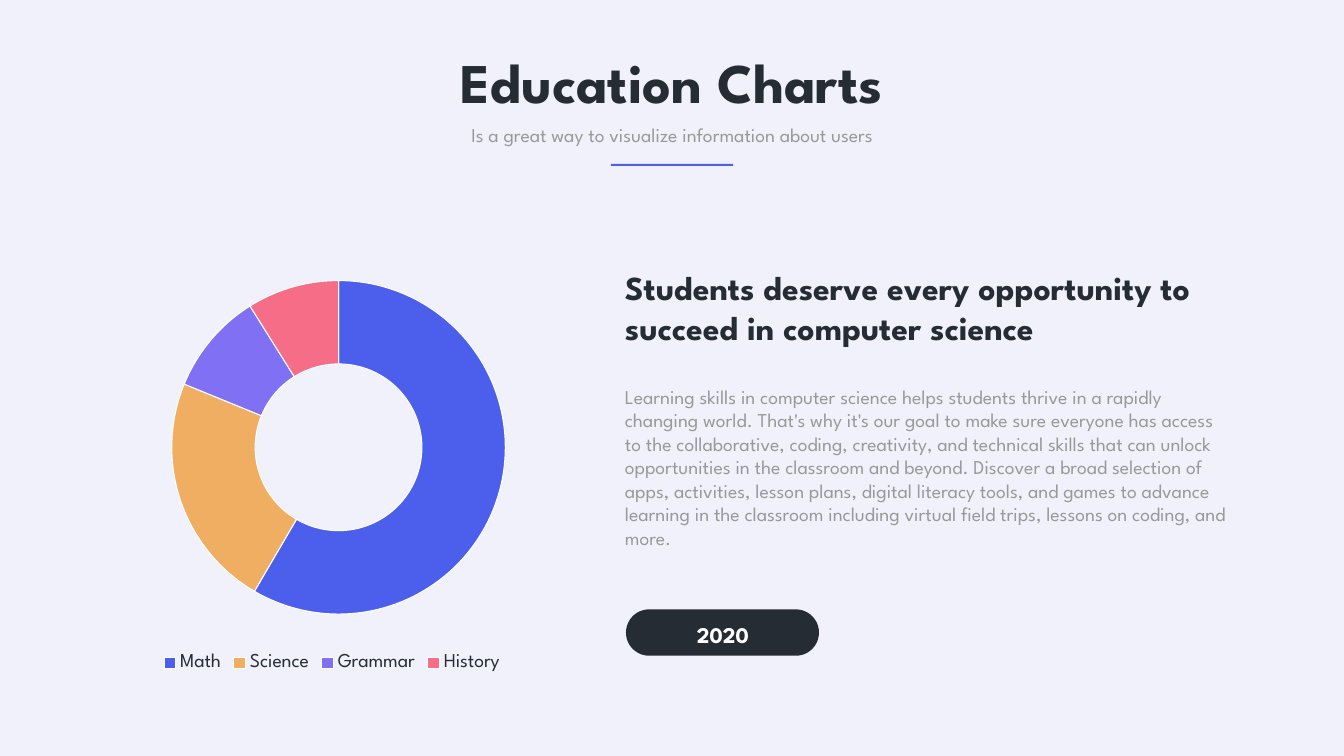
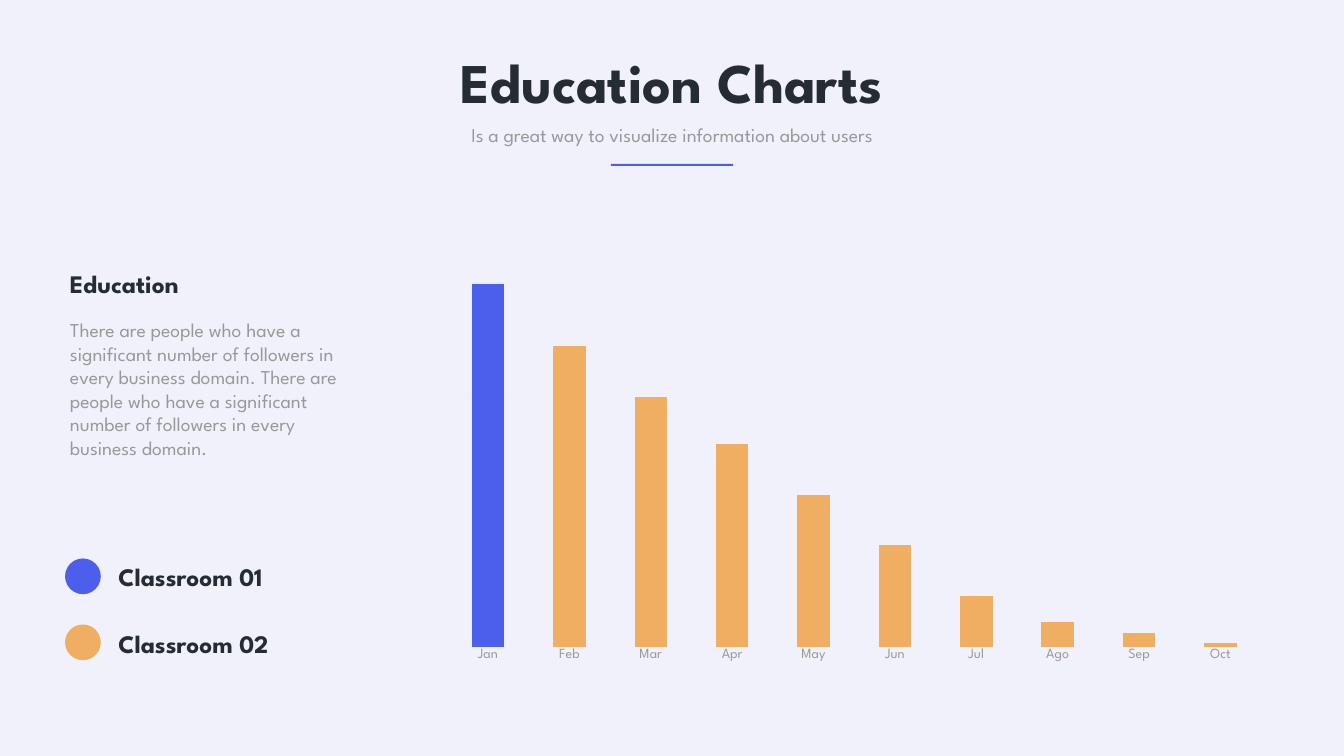
from pptx import Presentation
from pptx.chart.data import CategoryChartData
from pptx.dml.color import RGBColor
from pptx.enum.chart import XL_CHART_TYPE, XL_LEGEND_POSITION, XL_TICK_MARK
from pptx.enum.shapes import MSO_SHAPE
from pptx.enum.text import MSO_ANCHOR, MSO_AUTO_SIZE, PP_ALIGN
from pptx.oxml import parse_xml
from pptx.oxml.ns import nsdecls, qn
from pptx.util import Inches, Pt

# Shared style: a grid of 160 columns by 90 rows, six cells to the inch
COLS, ROWS, CELL = 160, 90, Inches(1) / 6
FONT = "League Spartan"
PAPER, INK, GRAY, PALE, WHITE = "F0F1FA", "252C34", "999999", "F0F0F0", "FFFFFF"
BLUE, SAND, VIOLET, ROSE = "4C5FEC", "F0AE62", "7F70F4", "F56D87"
BODY, LABEL, SUBHEAD, HEAD, TITLE = 28, 36, 48, 80, "Education Charts"


def paint(target, color):
    """Give a fill a solid colour."""
    target.solid()
    target.fore_color.rgb = RGBColor.from_string(color)


def style(font, size, color, bold=False):
    font.name, font.size, font.bold = FONT, Pt(size), bold
    paint(font.fill, color)


def grid(*cells):
    return [round(n * CELL) for n in cells]


def middle(width):
    """Left column of an element centred on the slide."""
    return (COLS - width) / 2


class Deck:
    def __init__(self):
        self.show = Presentation()
        self.show.slide_width, self.show.slide_height = grid(COLS, ROWS)
        paint(self.show.slide_master.background.fill, PAPER)
        self.slide = None

    def label(self, frame, words, size, color, bold, align):
        frame.word_wrap = True
        frame.auto_size = MSO_AUTO_SIZE.SHAPE_TO_FIT_TEXT
        frame.vertical_anchor = MSO_ANCHOR.TOP
        para = frame.paragraphs[0]
        para.alignment = align
        run = para.add_run()
        run.text = words
        style(run.font, size, color, bold)

    def text(self, place, words, size, color=INK, bold=False, align=PP_ALIGN.LEFT):
        box = self.slide.shapes.add_textbox(*grid(*place))
        self.label(box.text_frame, words, size, color, bold, align)

    def shape(self, kind, place, color):
        item = self.slide.shapes.add_shape(kind, *grid(*place))
        item.shadow.inherit = False
        paint(item.fill, color)
        item.line.fill.background()
        return item

    def page(self, title, tagline):
        """Start a slide with its title, tagline and rule."""
        self.slide = self.show.slides.add_slide(self.show.slide_layouts[5])
        head = self.slide.shapes.title
        head.left, head.top, head.width, head.height = grid(middle(77.46), 5.4, 77.46, 8.7)
        self.label(head.text_frame, title, HEAD, INK, True, PP_ALIGN.CENTER)
        self.text((middle(57.36), 14.28, 57.36, 3.42), tagline, BODY, GRAY,
                  align=PP_ALIGN.CENTER)
        self.shape(MSO_SHAPE.RECTANGLE, (middle(14.58), 19.5, 14.58, 0.24), BLUE)

    def chart(self, kind, place, names, values, plot):
        """Add a one-series chart; plot is the inner area as shares of the frame."""
        data = CategoryChartData()
        data.categories = names
        data.add_series("Series 1", values)
        chart = self.slide.shapes.add_chart(kind, *grid(*place), data).chart
        chart.has_title = chart.has_legend = False
        style(chart.font, 20, GRAY)
        area = chart._chartSpace.chart.plotArea
        for old in area.findall(qn("c:layout")):
            area.remove(old)
        sizes = "".join(f'<c:{key} val="{share}"/>' for key, share in zip("xywh", plot))
        area.insert(0, parse_xml(
            f'<c:layout {nsdecls("c")}><c:manualLayout><c:layoutTarget val="inner"/>'
            f'<c:xMode val="edge"/><c:yMode val="edge"/>{sizes}</c:manualLayout></c:layout>'))
        return chart

    def ring(self, place, names, values, colors):
        chart = self.chart(XL_CHART_TYPE.DOUGHNUT, place, names, values,
                           (0.14, 0.04, 0.75, 0.81))
        plot = chart.plots[0]
        plot._element.find(qn("c:holeSize")).set("val", "59")
        for spot, color in enumerate(colors):
            look = plot.series[0].points[spot].format
            paint(look.fill, color)
            paint(look.line.fill, WHITE)
            look.line.width = Pt(1.5)
        chart.has_legend = True
        chart.legend.position = XL_LEGEND_POSITION.BOTTOM
        chart.legend.include_in_layout = False
        style(chart.legend.font, BODY, INK)

    def bars(self, place, names, values, color, first):
        chart = self.chart(XL_CHART_TYPE.COLUMN_STACKED, place, names, values,
                           (0.02, 0.02, 0.96, 0.92))
        plot = chart.plots[0]
        plot.gap_width, plot.overlap, plot.vary_by_categories = 150, 100, False
        paint(plot.series[0].format.fill, color)
        paint(plot.series[0].points[0].format.fill, first)
        base, scale = chart.category_axis, chart.value_axis
        base.major_tick_mark = XL_TICK_MARK.NONE
        style(base.tick_labels.font, 20, GRAY)
        scale.minimum_scale, scale.maximum_scale, scale.major_unit = 0, 111, 70
        scale.has_major_gridlines, scale.visible = True, False
        for line in (base.format.line, scale.major_gridlines.format.line):
            paint(line.fill, PALE)
            line.width = Pt(0.75)


def main():
    deck = Deck()
    tagline = "Is a great way to visualize information about users"

    # Subjects: ring chart beside the story
    deck.page(TITLE, tagline)
    deck.ring((13.02, 31.44, 52.98, 49.02), ["Math", "Science", "Grammar", "History"],
              [59, 23, 10, 9], [BLUE, SAND, VIOLET, ROSE])
    deck.text((73.8, 45.48, 73.14, 23.22),
              "Learning skills in computer science helps students thrive in a rapidly "
              "changing world. That's why it's our goal to make sure everyone has access "
              "to the collaborative, coding, creativity, and technical skills that can "
              "unlock opportunities in the classroom and beyond. Discover a broad "
              "selection of apps, activities, lesson plans, digital literacy tools, and "
              "games to advance learning in the classroom including virtual field trips, "
              "lessons on coding, and more.", BODY, GRAY)
    deck.text((73.8, 31.5, 73.14, 10.32),
              "Students deserve every opportunity to succeed in computer science",
              SUBHEAD, bold=True)
    pill = deck.shape(MSO_SHAPE.ROUNDED_RECTANGLE, (74.52, 72.54, 22.98, 5.52), INK)
    pill.adjustments[0] = 0.5
    deck.text((76.14, 73.62, 19.86, 3.84), "2020", 32, WHITE, True, PP_ALIGN.CENTER)

    # Months: column chart beside the key
    deck.page(TITLE, tagline)
    months = "Jan Feb Mar Apr May Jun Jul Ago Sep Oct".split()
    deck.bars((51.24, 28.08, 100.92, 52.08), months,
              [100, 83, 69, 56, 42, 28, 14, 7, 4, 1], SAND, BLUE)
    claim = ("There are people who have a significant number of followers "
             "in every business domain.")
    deck.text((7.74, 37.56, 36, 17.58), f"{claim} {claim}", BODY, GRAY)
    deck.text((7.74, 31.68, 36, 4.26), "Education", LABEL, bold=True)
    for name, color, dot, top in (("Classroom 01", BLUE, 66.48, 66.48),
                                  ("Classroom 02", SAND, 74.34, 74.52)):
        deck.shape(MSO_SHAPE.OVAL, (7.74, dot, 4.26, 4.26), color)
        deck.text((13.5, top, 25.44, 4.26), name, LABEL, bold=True)

    deck.show.save("out.pptx")


if __name__ == "__main__":
    main()
